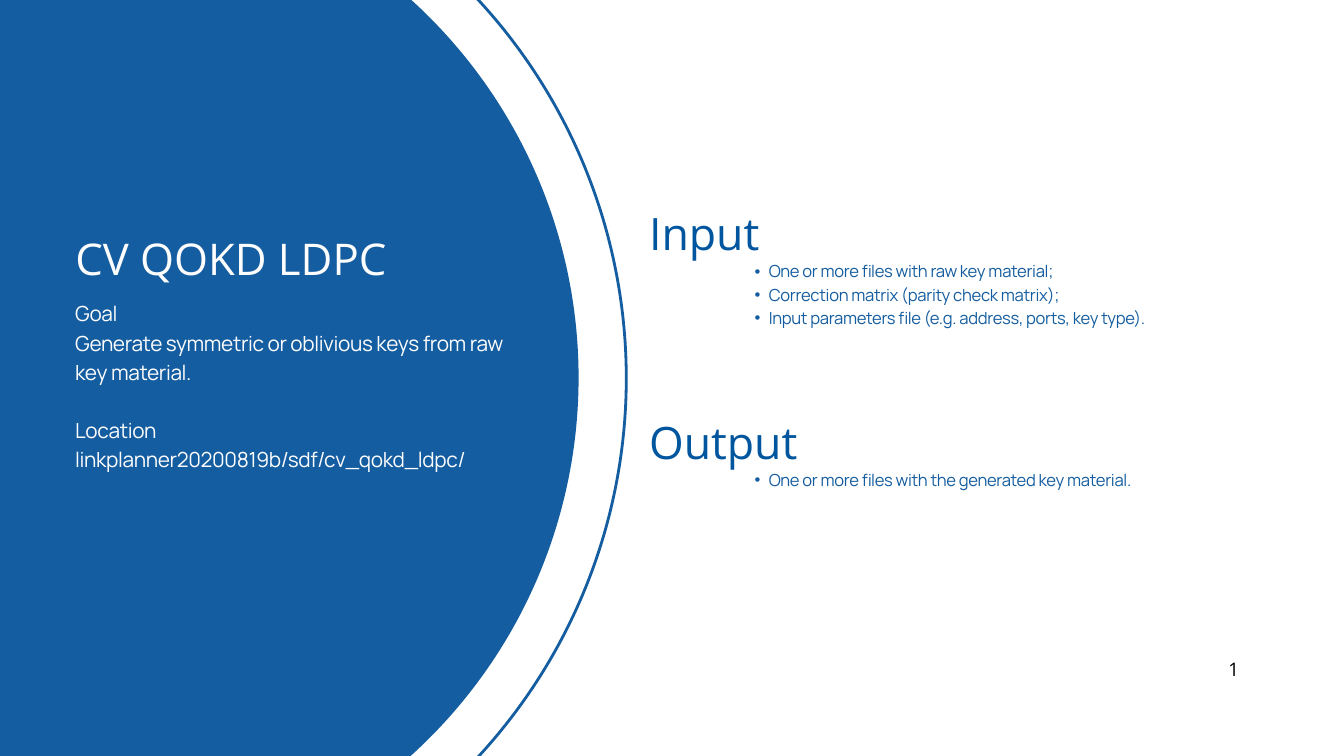
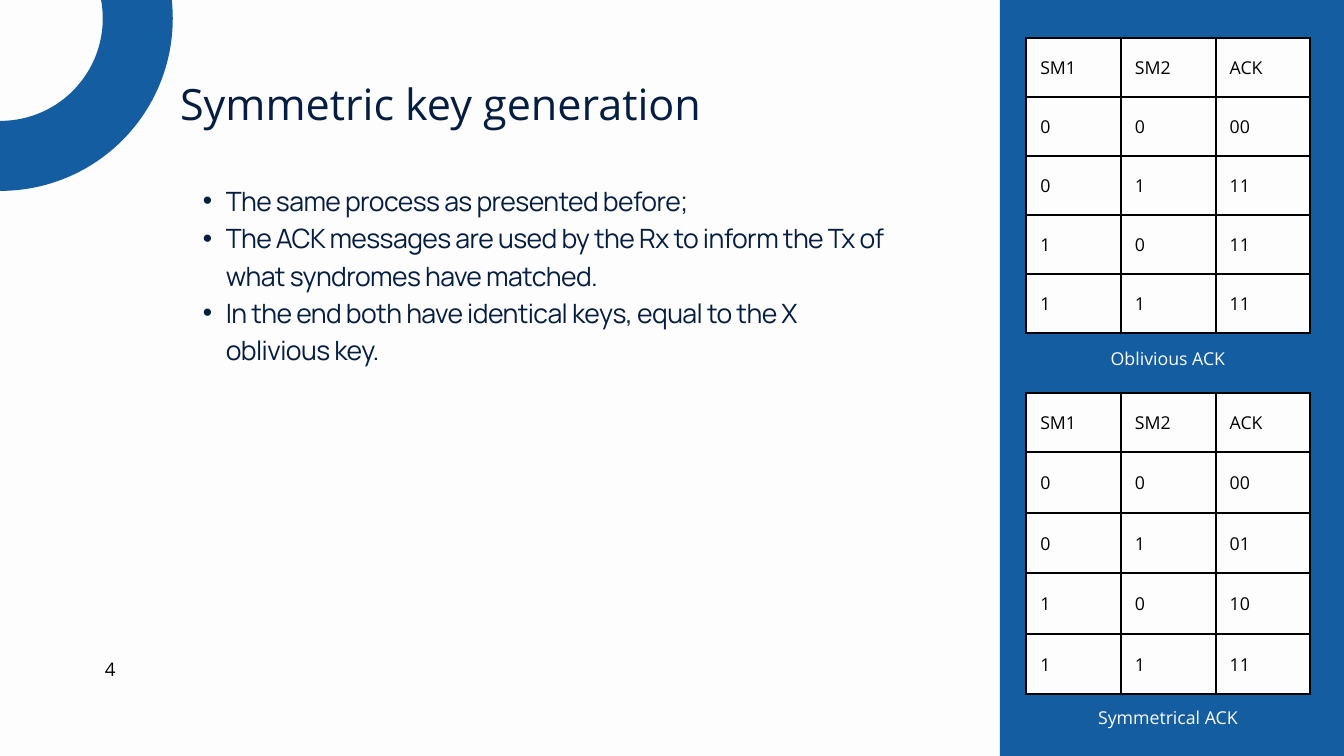
"""Build two slides on CV QOKD LDPC key generation."""
import lxml.etree
import pptx
import pptx.dml.color
import pptx.enum.shapes
import pptx.enum.text
import pptx.oxml.ns
import pptx.util

Inches = pptx.util.Inches
Pt = pptx.util.Pt
qn = pptx.oxml.ns.qn
RGB = pptx.dml.color.RGBColor.from_string
LEFT = pptx.enum.text.PP_ALIGN.LEFT
CENTER = pptx.enum.text.PP_ALIGN.CENTER
OVAL = pptx.enum.shapes.MSO_SHAPE.OVAL
RECTANGLE = pptx.enum.shapes.MSO_SHAPE.RECTANGLE

COLORS = {
    "blue": "145DA0",
    "heading": "00569E",
    "navy": "051D40",
    "paper": "FDFDFD",
    "white": "FFFFFF",
    "black": "000000",
}
STYLES = {
    "cover title": {"size": 46.8, "font": "Open Sans", "color": "paper", "leading": 65.5},
    "goal": {"size": 22.3, "font": "Manrope", "color": "paper", "leading": 31.2, "tracking": -40},
    "heading": {"size": 47.8, "font": "Open Sans", "color": "heading", "leading": 67},
    "files": {"size": 17.8, "font": "Manrope", "color": "blue", "leading": 24.9,
              "tracking": -30, "indent": 0.21},
    "title": {"size": 46.2, "font": "Open Sans", "color": "navy", "leading": 64.7},
    "list": {"size": 28.5, "font": "Manrope", "color": "navy", "leading": 40,
             "tracking": -60, "indent": 0.34},
    "cell": {"size": 19, "font": "Open Sans", "color": "black", "leading": 26.6},
    "caption": {"size": 19, "font": "Open Sans", "color": "paper", "leading": 26.6,
                "align": CENTER},
    "number": {"size": 20, "font": "Open Sans", "color": "black", "leading": 28,
               "align": CENTER},
}


def write(frame, lines, style_name):
    style = STYLES[style_name]
    indent = style.get("indent", 0)
    para_format = {
        "alignment": style.get("align", LEFT),
        "line_spacing": Pt(style["leading"]),
        "space_before": Pt(0),
        "space_after": Pt(0),
    }
    font_format = {"name": style["font"], "size": Pt(style["size"]), "bold": False}
    for index, line in enumerate(lines):
        para = frame.paragraphs[0] if index == 0 else frame.add_paragraph()
        properties = para._p.get_or_add_pPr()
        properties.set("marL", str(Inches(2 * indent)))
        properties.set("indent", str(-Inches(indent)))
        if indent:
            lxml.etree.SubElement(properties, qn("a:buFont"), typeface="Arial")
            lxml.etree.SubElement(properties, qn("a:buChar"), char="•")
        for name, value in para_format.items():
            setattr(para, name, value)
        span = para.add_run()
        span.text = line
        for name, value in font_format.items():
            setattr(span.font, name, value)
        span.font.color.rgb = RGB(COLORS[style["color"]])
        span._r.get_or_add_rPr().set("spc", str(style.get("tracking", 0)))


def fill_box(box, place, lines, style_name):
    for name, value in zip(("left", "top", "width", "height"), place):
        setattr(box, name, Inches(value))
    frame_format = {
        "margin_left": 0,
        "margin_top": 0,
        "margin_right": 0,
        "margin_bottom": 0,
        "word_wrap": True,
        "auto_size": pptx.enum.text.MSO_AUTO_SIZE.NONE,
        "vertical_anchor": pptx.enum.text.MSO_ANCHOR.TOP,
    }
    for name, value in frame_format.items():
        setattr(box.text_frame, name, value)
    write(box.text_frame, lines, style_name)


deck = pptx.Presentation()
deck.slide_width = Inches(20)
deck.slide_height = Inches(11.25)
cover = deck.slides.add_slide(deck.slide_layouts.get_by_name("Comparison"))
symmetric = deck.slides.add_slide(deck.slide_layouts.get_by_name("Title and Content"))

page_looks = [(cover, "white", "1", 17.84), (symmetric, "paper", "4", 1.12)]
for page, background, number, left in page_looks:
    page.background.fill.solid()
    page.background.fill.fore_color.rgb = RGB(COLORS[background])
    box = page.shapes.add_textbox(0, 0, 0, 0)
    fill_box(box, (left, 9.74, 1.04, 0.38), [number], "number")

decorations = [
    (cover, OVAL, (-7.28, -2.67, 16.6, 16.6), 3),
    (cover, OVAL, (-6.57, -1.97, 15.18, 15.18), None),
    (symmetric, RECTANGLE, (14.88, -0.34, 5.33, 11.94), None),
    (symmetric, OVAL, (-2.04, -1.77, 4.09, 4.09), 75),
]
for page, kind, place, line_width in decorations:
    shape = page.shapes.add_shape(kind, *map(Inches, place))
    shape.shadow.inherit = False
    if line_width:
        shape.fill.background()
        shape.line.color.rgb = RGB(COLORS["blue"])
        shape.line.width = Pt(line_width)
    else:
        shape.fill.solid()
        shape.fill.fore_color.rgb = RGB(COLORS["blue"])
        shape.line.fill.background()
    page.shapes.element.insert(2, shape.element)

placeholder_texts = [
    (cover, 0, (1.12, 3.32, 6.6, 0.87), ["CV QOKD LDPC"], "cover title"),
    (cover, 1, (9.66, 2.93, 2.72, 0.88), ["Input"], "heading"),
    (cover, 2, (11.02, 3.84, 6.54, 1.06), [
        "One or more files with raw key material;",
        "Correction matrix (parity check matrix);",
        "Input parameters file (e.g. address, ports, key type).",
    ], "files"),
    (cover, 3, (9.66, 6.04, 2.72, 0.88), ["Output"], "heading"),
    (cover, 4, (11.02, 6.94, 6.54, 0.36),
     ["One or more files with the generated key material."], "files"),
    (symmetric, 0, (2.68, 1.03, 10.91, 0.86), ["Symmetric key generation"], "title"),
    (symmetric, 1, (2.68, 2.67, 10.51, 2.81), [
        "The same process as presented before;",
        "The ACK messages are used by the Rx to inform the Tx of what syndromes have matched.",
        "In the end both have identical keys, equal to the X oblivious key.",
    ], "list"),
]
for page, index, place, lines, style_name in placeholder_texts:
    fill_box(page.placeholders[index], place, lines, style_name)

goal = cover.shapes.add_textbox(0, 0, 0, 0)
fill_box(goal, (1.12, 4.42, 6.44, 2.57), [
    "Goal",
    "Generate symmetric or oblivious keys from raw key material.",
    "Location",
    "linkplanner20200819b/sdf/cv_qokd_ldpc/",
], "goal")
goal.text_frame.paragraphs[2].space_before = Pt(STYLES["goal"]["leading"])

ack_tables = [
    ("Oblivious ACK", 0.56, 0.88, 5.12, ["00", "11", "11", "11"]),
    ("Symmetrical ACK", 5.85, 0.9, 10.47, ["00", "01", "10", "11"]),
]
for caption, top, row_height, caption_top, answers in ack_tables:
    rows = [("SM1", "SM2", "ACK")]
    rows += [(first, second, answer)
             for (first, second), answer in zip(("00", "01", "10", "11"), answers)]
    table = symmetric.shapes.add_table(
        5, 3, Inches(15.27), Inches(top), Inches(4.23), Inches(0.88 + 4 * row_height)).table
    table.first_row = False
    table.horz_banding = False
    for row_index, row in enumerate(rows):
        table.rows[row_index].height = Inches(row_height if row_index else 0.88)
        for column_index, text in enumerate(row):
            cell = table.cell(row_index, column_index)
            for side in ("left", "top", "right", "bottom"):
                setattr(cell, "margin_" + side, Inches(0.21))
            cell.vertical_anchor = pptx.enum.text.MSO_ANCHOR.MIDDLE
            write(cell.text_frame, [text], "cell")
            properties = cell._tc.get_or_add_tcPr()
            for edge in ("a:lnL", "a:lnR", "a:lnT", "a:lnB"):
                border = lxml.etree.SubElement(properties, qn(edge), w=str(Pt(2.25)))
                paint = lxml.etree.SubElement(border, qn("a:solidFill"))
                lxml.etree.SubElement(paint, qn("a:srgbClr"), val=COLORS["black"])
            cell.fill.solid()
            cell.fill.fore_color.rgb = RGB(COLORS["paper"])
    box = symmetric.shapes.add_textbox(0, 0, 0, 0)
    fill_box(box, (16.21, caption_top, 2.34, 0.35), [caption], "caption")

deck.save("out.pptx")
